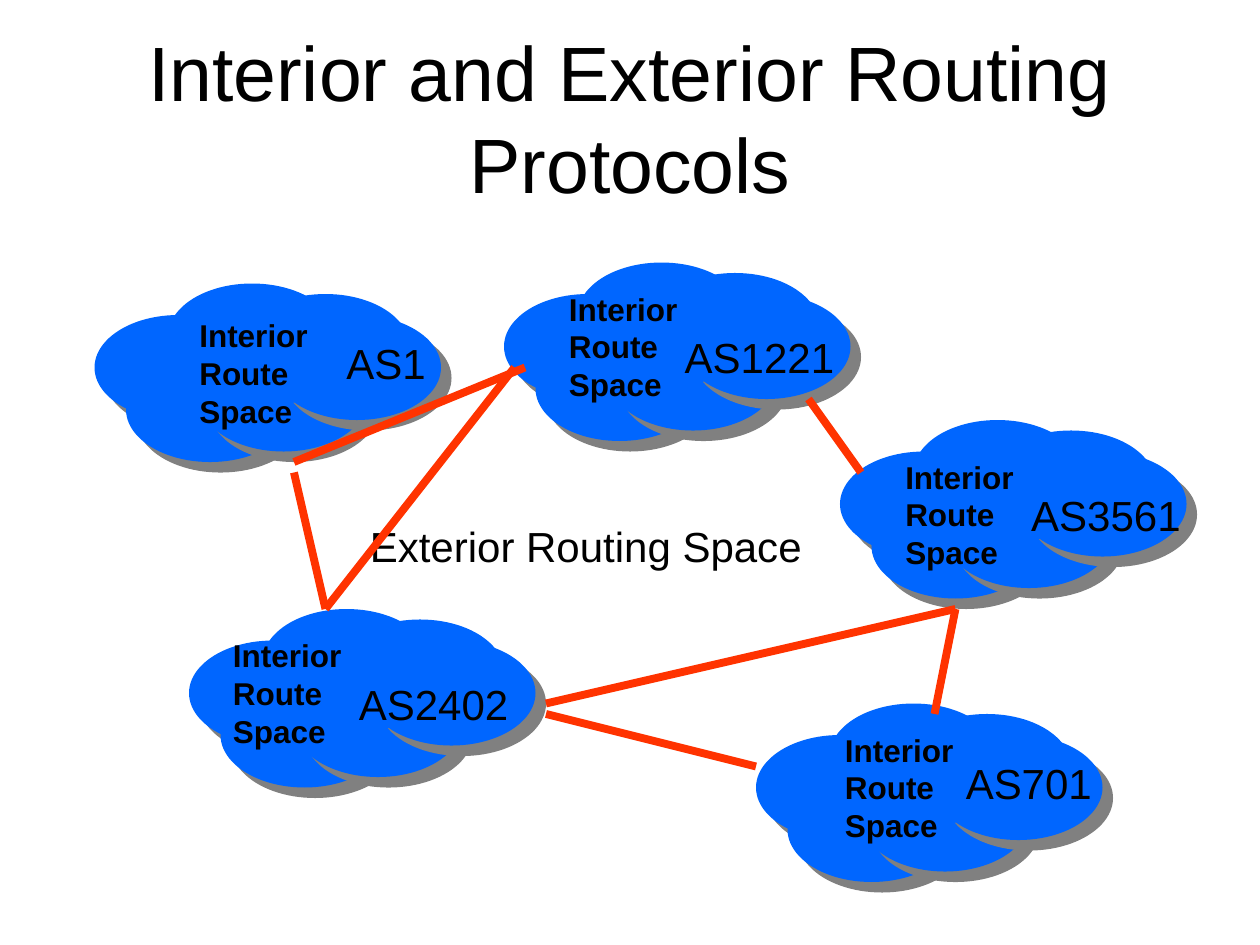
from pptx import Presentation
from pptx.dml.color import RGBColor
from pptx.enum.shapes import MSO_CONNECTOR, MSO_SHAPE
from pptx.enum.text import MSO_ANCHOR, MSO_AUTO_SIZE, PP_ALIGN
from pptx.oxml import parse_xml
from pptx.oxml.ns import nsdecls, qn
from pptx.util import Pt

BLACK = RGBColor(0x00, 0x00, 0x00)
BLUE = RGBColor(0x00, 0x66, 0xFF)
RED = RGBColor(0xFF, 0x33, 0x00)
FONT = "Arial"

SHADOW = (f'<a:outerShdw {nsdecls("a")} dist="{Pt(8.5)}" dir="2700000" algn="ctr" '
          'rotWithShape="0"><a:srgbClr val="808080"/></a:outerShdw>')

# Ellipses of one cloud: left, top, height, shadow
PUFFS = [(0, 18, 60, True), (42, 0, 60, True), (18, 42, 60, True),
         (60, 36, 60, True), (84, 6, 60, True), (102, 18, 60, True),
         (36, 36, 36, False)]

# Name, cloud corner, "Interior" label corner, name corner, name width
SYSTEMS = [
    ("AS1", (54, 162), (106.8, 177.2), (190.8, 189.4), 60),
    ("AS2402", (108, 348), (126, 360), (198, 384), 100),
    ("AS1221", (288, 150), (318, 162), (384.2, 186), 100),
    ("AS701", (432, 402), (475.7, 414), (544.8, 429.4), 87),
    ("AS3561", (480, 240), (510.2, 258), (582.2, 276), 100),
]

LINKS = [
    (168, 264, 300, 210), (168, 270, 186, 348), (294, 210, 186, 348),
    (312, 408, 432, 438), (462, 228, 492, 270), (546, 348, 312, 402),
    (546, 348, 534, 408),
]


def add_label(text, x, y, w, h, size, bold=False):
    tf = s.shapes.add_textbox(Pt(x), Pt(y), Pt(w), Pt(h)).text_frame
    tf.word_wrap = False
    tf.auto_size = MSO_AUTO_SIZE.SHAPE_TO_FIT_TEXT
    tf.text = text
    for p in tf.paragraphs:
        p.font.name = FONT
        p.font.size = Pt(size)
        p.font.bold = bold
        p.font.color.rgb = BLACK


prs = Presentation()
prs.slide_width, prs.slide_height = Pt(720), Pt(540)
s = prs.slides.add_slide(prs.slide_layouts[5])

title = s.shapes.title
title.left, title.top, title.width, title.height = Pt(36), Pt(21.6), Pt(648), Pt(90)
tf = title.text_frame
tf.text = "Interior and Exterior Routing Protocols"
tf.vertical_anchor = MSO_ANCHOR.MIDDLE
p = tf.paragraphs[0]
p.alignment = PP_ALIGN.CENTER
p.font.name = FONT
p.font.size = Pt(44)
p.font.color.rgb = BLACK

for _, (x, y), *_ in SYSTEMS:
    cloud = s.shapes.add_group_shape()
    for dx, dy, h, shadowed in PUFFS:
        sp = cloud.shapes.add_shape(MSO_SHAPE.OVAL, Pt(x + dx), Pt(y + dy), Pt(96), Pt(h))
        sp.fill.solid()
        sp.fill.fore_color.rgb = BLUE
        sp.line.fill.background()
        sp.shadow.inherit = False
        if shadowed:
            sp._element.spPr.find(qn("a:effectLst")).append(parse_xml(SHADOW))

add_label("Exterior Routing Space", 204.3, 294, 261.4, 36, 24)
for _, _, (x, y), *_ in SYSTEMS:
    add_label("Interior\nRoute\nSpace", x, y, 76.4, 72, 18, bold=True)

for x1, y1, x2, y2 in LINKS:
    link = s.shapes.add_connector(MSO_CONNECTOR.STRAIGHT, Pt(x1), Pt(y1), Pt(x2), Pt(y2))
    link.line.color.rgb = RED
    link.line.width = Pt(4.5)
    link._element.spPr.append(parse_xml(f'<a:effectLst {nsdecls("a")}/>'))

for name, _, _, (x, y), w in SYSTEMS:
    add_label(name, x, y, w, 36, 24)

prs.save("out.pptx")
